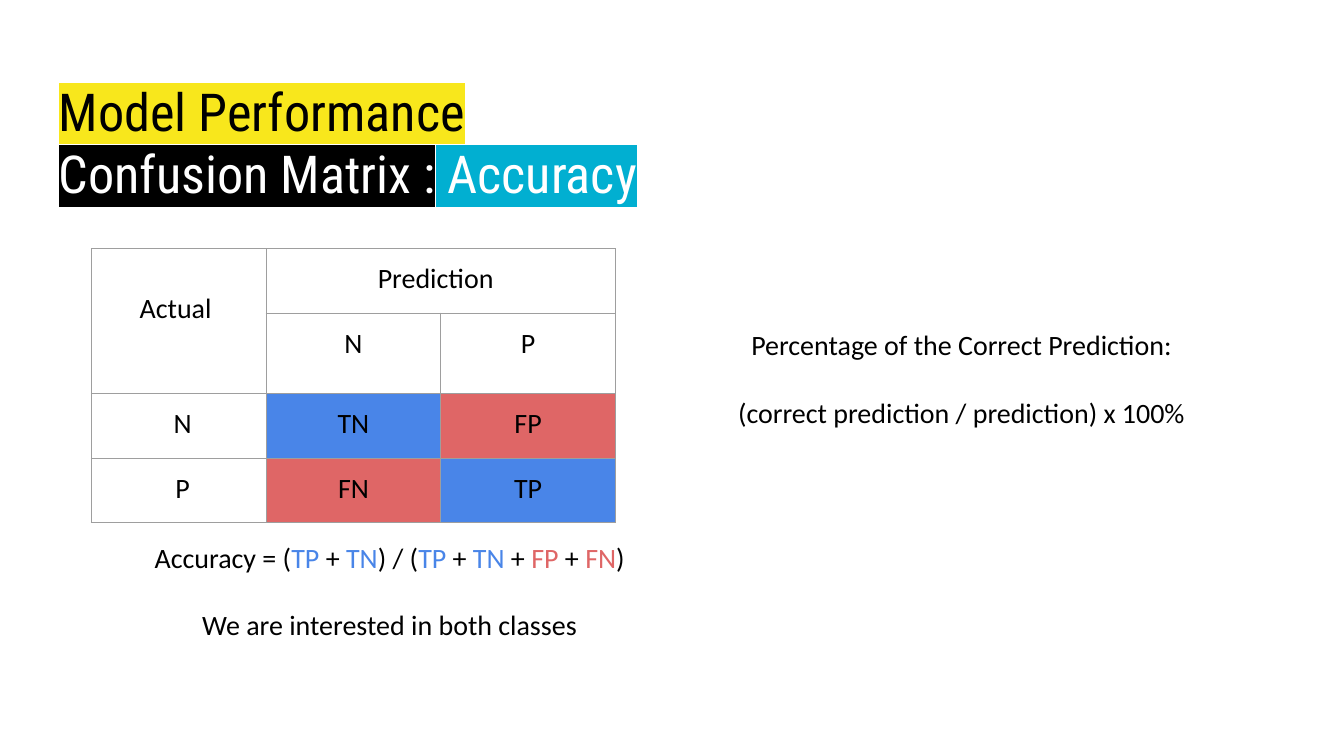
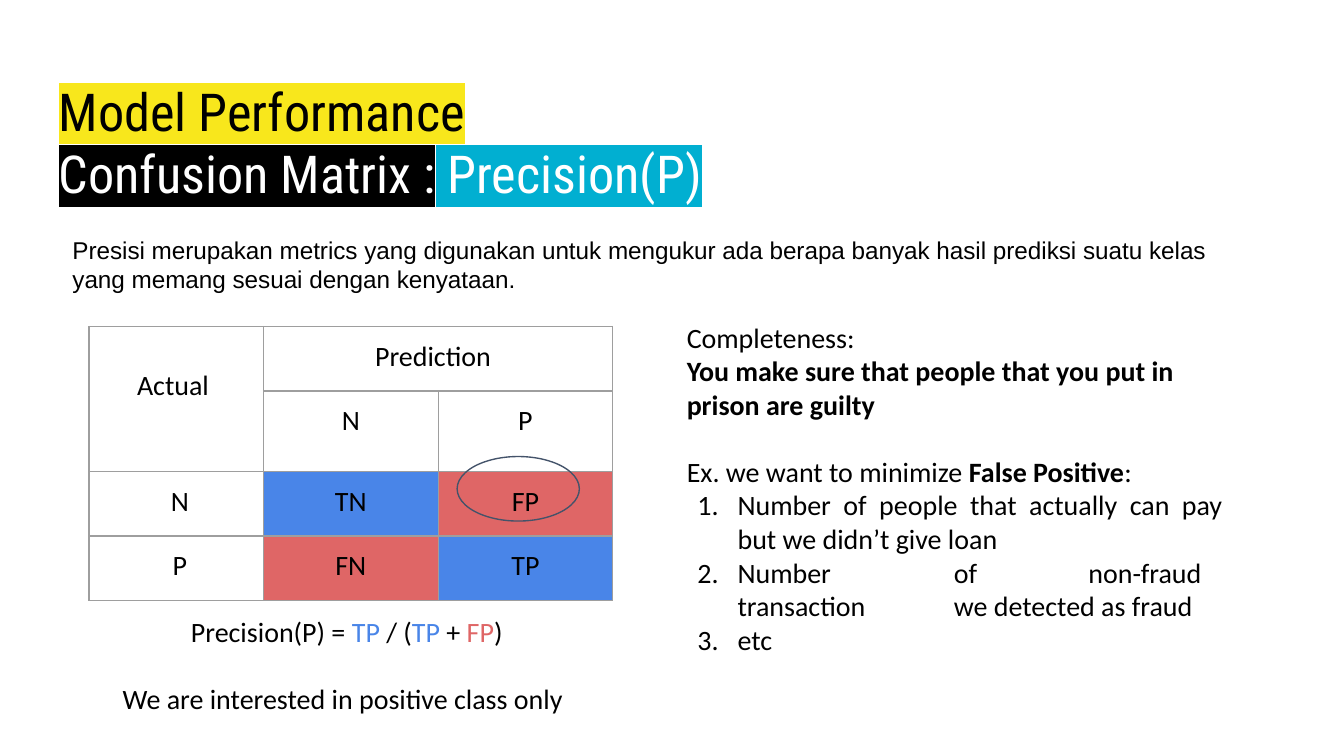
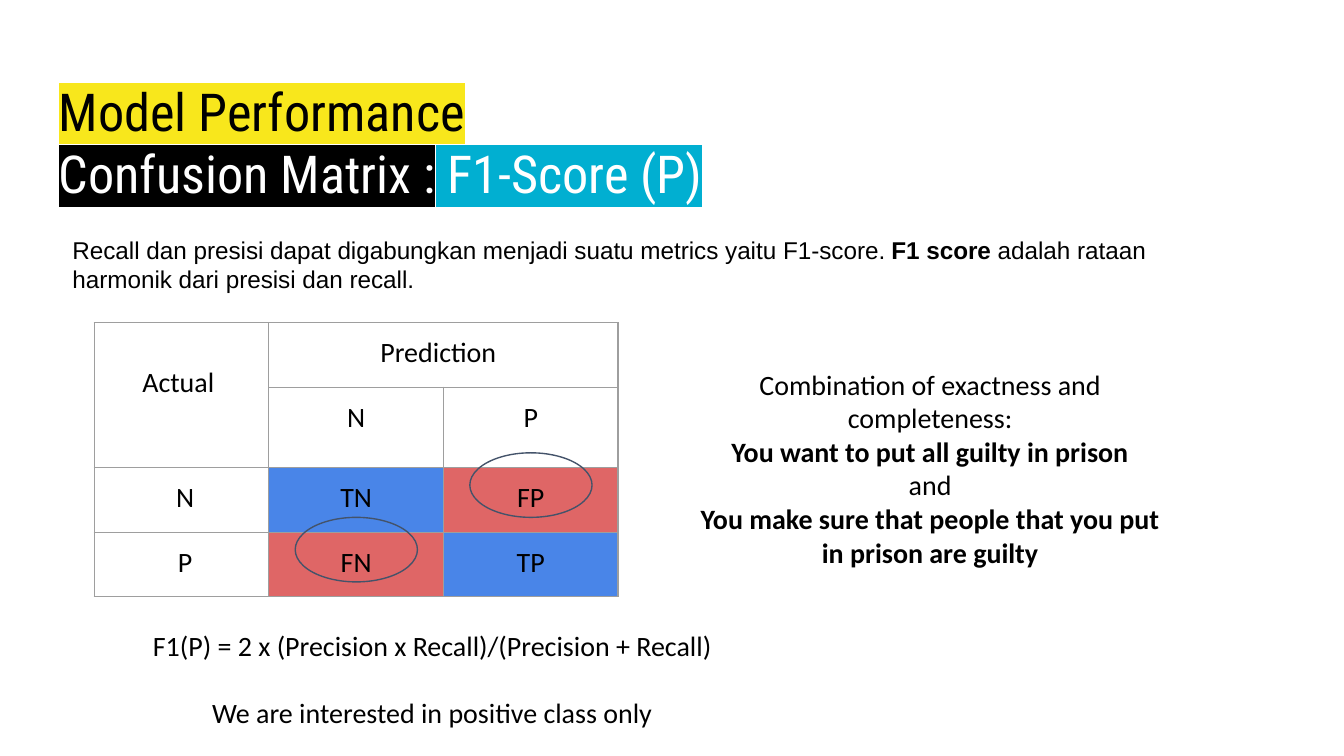
import dataclasses
import typing

import lxml.etree
import pptx
import pptx.dml.color
import pptx.enum.shapes
import pptx.enum.text
import pptx.oxml.ns
import pptx.util

Cm = pptx.util.Cm
Pt = pptx.util.Pt
qn = pptx.oxml.ns.qn
ALIGN = pptx.enum.text.PP_ALIGN


@dataclasses.dataclass(frozen=True)
class Theme:
    black: str = "000000"
    white: str = "FFFFFF"
    yellow: str = "F8E71C"
    cyan: str = "01AFD1"
    correct: str = "4985E8"
    wrong: str = "DF6666"
    grid: str = "9E9E9E"
    ring: str = "44536A"
    title_font: str = "Roboto Condensed"
    body_font: str = "Calibri"
    definition_font: str = "Arial"
    title_size: int = 28
    body_size: int = 15
    definition_size: int = 13
    line_width: float = 0.75
    blank_line: int = 18


THEME = Theme()
OUTCOME_COLOURS = {"TP": THEME.correct, "TN": THEME.correct,
                   "FP": THEME.wrong, "FN": THEME.wrong}


class Box(typing.NamedTuple):
    """A region in centimetres."""
    left: float
    top: float
    width: float
    height: float

    def lengths(self):
        return [Cm(value) for value in self]


@dataclasses.dataclass
class Span:
    text: str
    bold: bool = False
    colour: str = THEME.black
    highlight: typing.Optional[str] = None


@dataclasses.dataclass
class Para:
    """Spans with their paragraph layout; left, hang and tabs are in centimetres."""
    spans: list
    align: typing.Any = ALIGN.LEFT
    left: float = 0
    hang: float = 0
    before: float = 0
    numbered: bool = False
    tabs: tuple = ()


TITLE_BOX = Box(0.86, 1.24, 23.67, 3.38)
DEFINITION_BOX = Box(1.12, 4.19, 22.33, 1.63)
WIDE_MARGINS = (0.25, 0.25, 0.25, 0.25)
COLUMN_WIDTH = 3.3
ROW_HEIGHTS = [1.22, 1.52, 1.22, 1.22]
MATRIX = [
    ["Actual", "Prediction", ""],
    ["", "N", "P"],
    ["N", "TN", "FP"],
    ["P", "FN", "TP"],
]
RING_WIDTH, RING_HEIGHT, RING_RISE = 2.31, 1.22, 0.28


def rgb(colour):
    return pptx.dml.color.RGBColor.from_string(colour)


def add_solid_colour(parent, tag, colour):
    element = lxml.etree.SubElement(parent, qn(tag))
    lxml.etree.SubElement(element, qn("a:srgbClr"), val=colour)
    return element


def format_run(run, span, font, size):
    run.font.name = font
    run.font.size = Pt(size)
    run.font.bold = span.bold
    run.font.color.rgb = rgb(span.colour)
    if span.highlight:
        properties = run.font._element
        highlight = add_solid_colour(properties, "a:highlight", span.highlight)
        properties.find(qn("a:solidFill")).addnext(highlight)


def fill_paragraph(paragraph, para, font, size):
    paragraph.alignment = para.align
    if para.before:
        paragraph.space_before = Pt(para.before)
    properties = paragraph._p.get_or_add_pPr()
    properties.set("marL", str(Cm(para.left)))
    properties.set("indent", str(Cm(-para.hang)))
    if para.numbered:
        lxml.etree.SubElement(properties, qn("a:buAutoNum"), type="arabicPeriod")
    if para.tabs:
        stops = lxml.etree.SubElement(properties, qn("a:tabLst"))
        for position in para.tabs:
            lxml.etree.SubElement(stops, qn("a:tab"), pos=str(Cm(position)), algn="l")
    for item in para.spans:
        span = Span(item) if isinstance(item, str) else item
        run = paragraph.add_run()
        run.text = span.text
        format_run(run, span, font, size)


def add_text(page, box, paras, font=THEME.body_font, size=THEME.body_size,
             margins=(0, 0.03, 0, 0)):
    """Margins are left, top, right and bottom in centimetres."""
    frame = page.shapes.add_textbox(*box.lengths()).text_frame
    frame.word_wrap = True
    (frame.margin_left, frame.margin_top,
     frame.margin_right, frame.margin_bottom) = [Cm(value) for value in margins]
    for index, para in enumerate(paras):
        paragraph = frame.add_paragraph() if index else frame.paragraphs[0]
        fill_paragraph(paragraph, para, font, size)


def formula(*pieces):
    """Spans in which each outcome takes the colour of its matrix cell."""
    return [Span(piece, colour=OUTCOME_COLOURS.get(piece, THEME.black))
            for piece in pieces]


def add_title(page, metric):
    add_text(page, TITLE_BOX, [
        Para([Span("Model Performance", highlight=THEME.yellow)]),
        Para([Span("Confusion Matrix :", colour=THEME.white, highlight=THEME.black),
              Span(f" {metric}", colour=THEME.white, highlight=THEME.cyan)]),
    ], THEME.title_font, THEME.title_size, WIDE_MARGINS)


def add_definition(page, spans):
    add_text(page, DEFINITION_BOX, [Para(spans)], THEME.definition_font,
             THEME.definition_size, WIDE_MARGINS)


def draw_cell_borders(cell):
    properties = cell._tc.get_or_add_tcPr()
    for index, side in enumerate(("a:lnL", "a:lnR", "a:lnT", "a:lnB")):
        line = lxml.etree.Element(qn(side), w=str(Pt(THEME.line_width)))
        add_solid_colour(line, "a:solidFill", THEME.grid)
        properties.insert(index, line)


def format_cell(cell, text):
    cell.margin_left = cell.margin_right = cell.margin_bottom = 0
    cell.margin_top = Cm(0.25)
    if text in OUTCOME_COLOURS:
        cell.fill.solid()
        cell.fill.fore_color.rgb = rgb(OUTCOME_COLOURS[text])
    else:
        cell.fill.background()
    draw_cell_borders(cell)
    if text:
        fill_paragraph(cell.text_frame.paragraphs[0], Para([text], ALIGN.CENTER),
                       THEME.body_font, THEME.body_size)


def add_matrix(page, left, top):
    columns = len(MATRIX[0])
    box = Box(left, top, COLUMN_WIDTH * columns, sum(ROW_HEIGHTS))
    table = page.shapes.add_table(len(MATRIX), columns, *box.lengths()).table
    table.first_row = table.horz_banding = False
    for column in table.columns:
        column.width = Cm(COLUMN_WIDTH)
    for row, height in zip(table.rows, ROW_HEIGHTS):
        row.height = Cm(height)
    for row, texts in enumerate(MATRIX):
        for column, text in enumerate(texts):
            format_cell(table.cell(row, column), text)
    actual, prediction = table.cell(0, 0), table.cell(0, 1)
    actual.merge(table.cell(1, 0))
    prediction.merge(table.cell(0, 2))
    actual.margin_top = Cm(0.81)
    for header, indent in ((actual, 0.91), (prediction, 2.11)):
        header.margin_left = Cm(indent)
        header.text_frame.paragraphs[0].alignment = ALIGN.LEFT
    for row in (2, 3):
        table.cell(row, 0).margin_left = Cm(0.14)
    return box


def ring_cell(page, matrix, row, column, inset=0.5):
    """Ring a matrix cell, starting inset centimetres from its left edge."""
    box = Box(matrix.left + column * COLUMN_WIDTH + inset,
              matrix.top + sum(ROW_HEIGHTS[:row]) - RING_RISE,
              RING_WIDTH, RING_HEIGHT)
    ring = page.shapes.add_shape(pptx.enum.shapes.MSO_SHAPE.OVAL, *box.lengths())
    ring.shadow.inherit = False
    ring.fill.background()
    ring.line.color.rgb = rgb(THEME.ring)
    ring.line.width = Pt(THEME.line_width)


def build_accuracy(page):
    add_title(page, "Accuracy")
    add_matrix(page, 1.73, 4.7)
    add_text(page, Box(2.77, 10.19, 9.19, 1.96), [
        Para(formula("Accuracy = (", "TP", " + ", "TN", ") / (", "TP", " + ", "TN",
                     " + ", "FP", " + ", "FN", ")"), ALIGN.CENTER),
        Para(["We are interested in both classes"], ALIGN.CENTER,
             before=THEME.blank_line),
    ])
    add_text(page, Box(13.92, 6.17, 8.76, 1.96), [
        Para(["Percentage of the Correct Prediction:"], left=0.28),
        Para(["(correct prediction / prediction) x 100%"], left=0.03,
             before=THEME.blank_line),
    ])


def build_precision(page):
    add_title(page, "Precision(P)")
    add_definition(page, [
        "Presisi merupakan metrics yang digunakan untuk mengukur ada berapa banyak "
        "hasil prediksi suatu kelas yang memang sesuai dengan kenyataan."])
    examples = [
        ("Number of people that actually can pay but we didn’t give loan",
         ALIGN.JUSTIFY, ()),
        ("Number\tof\tnon-fraud transaction\twe detected as fraud",
         ALIGN.LEFT, (5.08, 7.62)),
        ("etc", ALIGN.LEFT, ()),
    ]
    add_text(page, Box(12.95, 6.02, 10.16, 6.45), [
        Para(["Completeness:"], left=0.03),
        Para([Span("You make sure that people that you put in prison are guilty",
                   bold=True)], left=0.03),
        Para(["Ex. we want to minimize ", Span("False Positive", bold=True), ":"],
             left=0.03, before=THEME.blank_line),
        *(Para([text], align, left=0.99, hang=0.76, numbered=True, tabs=tabs)
          for text, align, tabs in examples),
    ])
    add_text(page, Box(3.58, 11.58, 6.12, 0.66), [
        Para(formula("Precision(P) = ", "TP", " / (", "TP", " + ", "FP", ")"), left=0.03)])
    add_text(page, Box(2.29, 12.85, 8.66, 0.66), [
        Para(["We are interested in positive class only"], left=0.03)])
    matrix = add_matrix(page, 1.68, 6.17)
    ring_cell(page, matrix, 2, 2, inset=0.36)


def build_f1_score(page):
    add_title(page, "F1-Score (P)")
    add_definition(page, [
        "Recall dan presisi dapat digabungkan menjadi suatu metrics yaitu F1-score.",
        Span(" F1 score", bold=True),
        " adalah rataan harmonik dari presisi dan recall."])
    summary = [
        Span("Combination of exactness and completeness:"),
        Span("You want to put all guilty in prison", bold=True),
        Span("and"),
        Span("You make sure that people that you put in prison are guilty", bold=True),
    ]
    add_text(page, Box(2.84, 6.91, 19.28, 6.32), [
        *(Para([span], ALIGN.CENTER, left=10.2) for span in summary),
        Para(["F1(P) = 2 x (Precision x Recall)/(Precision + Recall)"], left=0.05,
             before=32),
        Para(["We are interested in positive class only"], left=1.17,
             before=THEME.blank_line),
    ])
    matrix = add_matrix(page, 1.78, 6.1)
    ring_cell(page, matrix, 2, 2)
    ring_cell(page, matrix, 3, 1)


def main():
    deck = pptx.Presentation()
    deck.slide_width, deck.slide_height = Cm(25.4), Cm(14.29)
    for build in (build_accuracy, build_precision, build_f1_score):
        build(deck.slides.add_slide(deck.slide_layouts[6]))
    deck.save("out.pptx")


if __name__ == "__main__":
    main()
